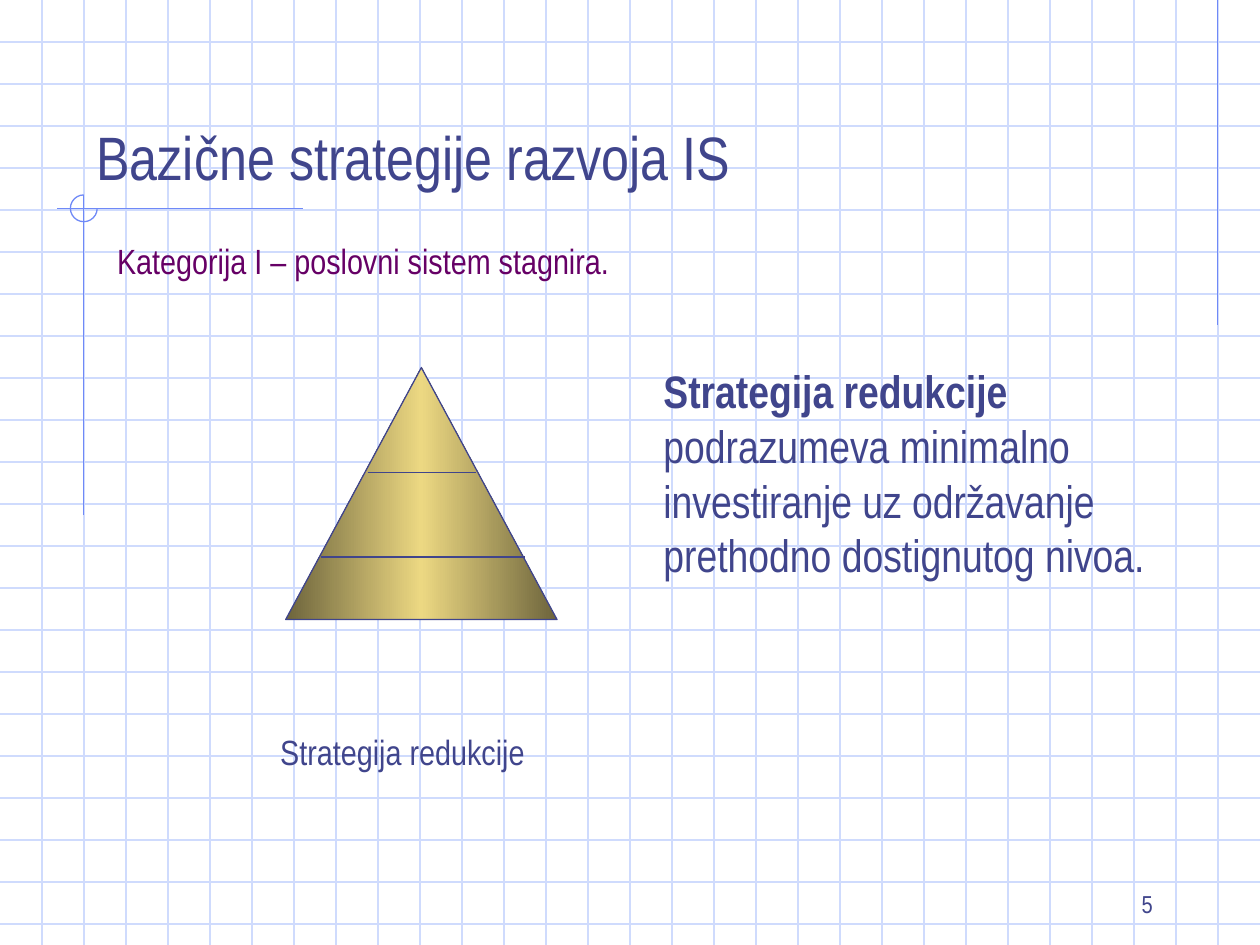
"""Build the slide on the reduction strategy for information system development."""
import copy

import pptx
import pptx.dml.color
import pptx.enum.shapes
import pptx.enum.text
import pptx.oxml
import pptx.oxml.ns
import pptx.util

Cm = pptx.util.Cm
Color = pptx.dml.color.RGBColor
Align = pptx.enum.text.PP_ALIGN
Anchor = pptx.enum.text.MSO_ANCHOR
Shape = pptx.enum.shapes.MSO_SHAPE

INK = Color(0x40, 0x45, 0x8C)
PLUM = Color(0x66, 0x00, 0x66)
GRID = Color(0xCF, 0xDB, 0xFD)
ACCENT = Color(0x6F, 0x89, 0xF7)
GOLD = Color(0xEC, 0xD8, 0x82)
BRONZE = Color(0x6D, 0x64, 0x3C)

WIDTH, HEIGHT = 25.4, 19.05
COLUMNS = 30
STEP = WIDTH / COLUMNS
ROWS = int(HEIGHT / STEP)

TITLE = {
    "spans": [("Bazične strategije razvoja IS", False)],
    "at": (1.69, 1.27, 22.01, 2.75), "size": 35, "anchor": Anchor.BOTTOM,
}
BODY = {
    "spans": [
        ("Strategija redukcije", True),
        (" podrazumeva minimalno investiranje uz održavanje "
         "prethodno dostignutog nivoa.", False),
    ],
    "at": (13.12, 7.2, 10.46, 10.33), "size": 26,
}
PAGE_NUMBER = {
    "spans": [("5", False)], "at": (18.2, 17.36, 5.29, 1.27),
    "size": 14, "anchor": Anchor.BOTTOM, "align": Align.RIGHT,
}
CAPTION = {
    "spans": [("Strategija redukcije", False)],
    "at": (5.4, 14.6, 5.45, 1.11), "size": 20, "wrap": False,
}
CATEGORY = {
    "spans": [("Kategorija I – poslovni sistem stagnira.", False)],
    "at": (2.11, 4.7, 10.43, 1.11), "size": 20, "color": PLUM, "wrap": False,
}

ACCENT_LINES = [
    (24.55, 0, 24.55, 6.56),
    (6.1, 4.21, 1.14, 4.21),
    (1.69, 3.93, 1.69, 10.39),
]
ACCENT_ARC = (1.42, 3.93, 0.54, 0.54)
PYRAMID = (5.76, 7.41, 5.47, 5.08)
PYRAMID_LINES = [(7.41, 9.53, 9.6, 9.53), (6.48, 11.23, 10.58, 11.23)]
PYRAMID_STOPS = [(0, BRONZE), (0.5, GOLD), (1, BRONZE)]


def set_values(target, values):
    for name, value in values.items():
        setattr(target, name, value)


def add_line(page, ends, color):
    line = page.shapes.add_connector(
        pptx.enum.shapes.MSO_CONNECTOR.STRAIGHT, *map(Cm, ends))
    line.line.color.rgb = color
    line.line.width = pptx.util.Pt(0.75)
    properties = line._element.spPr
    properties.append(pptx.oxml.parse_xml(
        f"<a:effectLst {pptx.oxml.ns.nsdecls('a')}/>"))


def add_outline(page, kind, at, color):
    shape = page.shapes.add_shape(kind, *map(Cm, at))
    shape.shadow.inherit = False
    shape.line.color.rgb = color
    shape.line.width = pptx.util.Pt(0.75)
    return shape


def write_text(box, item):
    set_values(box, dict(zip(("left", "top", "width", "height"),
                             map(Cm, item["at"]))))
    frame = box.text_frame
    set_values(frame, {
        "word_wrap": item.get("wrap", True),
        "auto_size": pptx.enum.text.MSO_AUTO_SIZE.NONE,
        "vertical_anchor": item.get("anchor", Anchor.TOP),
    })
    para = frame.paragraphs[0]
    properties = para._p.get_or_add_pPr()
    properties.set("marL", "0")
    properties.set("indent", "0")
    properties.append(pptx.oxml.parse_xml(
        f"<a:buNone {pptx.oxml.ns.nsdecls('a')}/>"))
    set_values(para, {"alignment": item.get("align", Align.LEFT),
                      "space_before": pptx.util.Pt(0)})
    for text, bold in item["spans"]:
        span = para.add_run()
        span.text = text
        set_values(span.font, {"name": "Arial Narrow", "bold": bold,
                               "size": pptx.util.Pt(item["size"])})
        span.font.color.rgb = item.get("color", INK)


def add_text(page, item):
    write_text(page.shapes.add_textbox(0, 0, 0, 0), item)


def fill_placeholder(page, box, item):
    page.shapes._spTree.append(box._element)
    write_text(box, item)


def add_background(page):
    for row in range(1, ROWS + 1):
        add_line(page, (0, row * STEP, WIDTH, row * STEP), GRID)
    for column in range(1, COLUMNS):
        add_line(page, (column * STEP, 0, column * STEP, HEIGHT), GRID)
    for ends in ACCENT_LINES:
        add_line(page, ends, ACCENT)
    arc = add_outline(page, Shape.ARC, ACCENT_ARC, ACCENT)
    arc.fill.background()
    arc.adjustments[0] = 0
    arc.adjustments[1] = 162


def add_pyramid(page):
    pyramid = add_outline(page, Shape.ISOSCELES_TRIANGLE, PYRAMID, INK)
    pyramid.fill.gradient()
    pyramid.fill.gradient_angle = 0
    stops = pyramid._element.spPr.find(".//" + pptx.oxml.ns.qn("a:gsLst"))
    stops.append(copy.deepcopy(stops[0]))
    for stop, (position, color) in zip(pyramid.fill.gradient_stops, PYRAMID_STOPS):
        stop.position = position
        stop.color.rgb = color


def main():
    deck = pptx.Presentation()
    set_values(deck, {"slide_width": Cm(WIDTH), "slide_height": Cm(HEIGHT)})
    page = deck.slides.add_slide(deck.slide_layouts[1])
    title, body = page.placeholders
    add_background(page)
    add_text(page, PAGE_NUMBER)
    fill_placeholder(page, title, TITLE)
    fill_placeholder(page, body, BODY)
    add_pyramid(page)
    add_text(page, CAPTION)
    for ends in PYRAMID_LINES:
        add_line(page, ends, INK)
    add_text(page, CATEGORY)
    deck.save("out.pptx")


if __name__ == "__main__":
    main()
